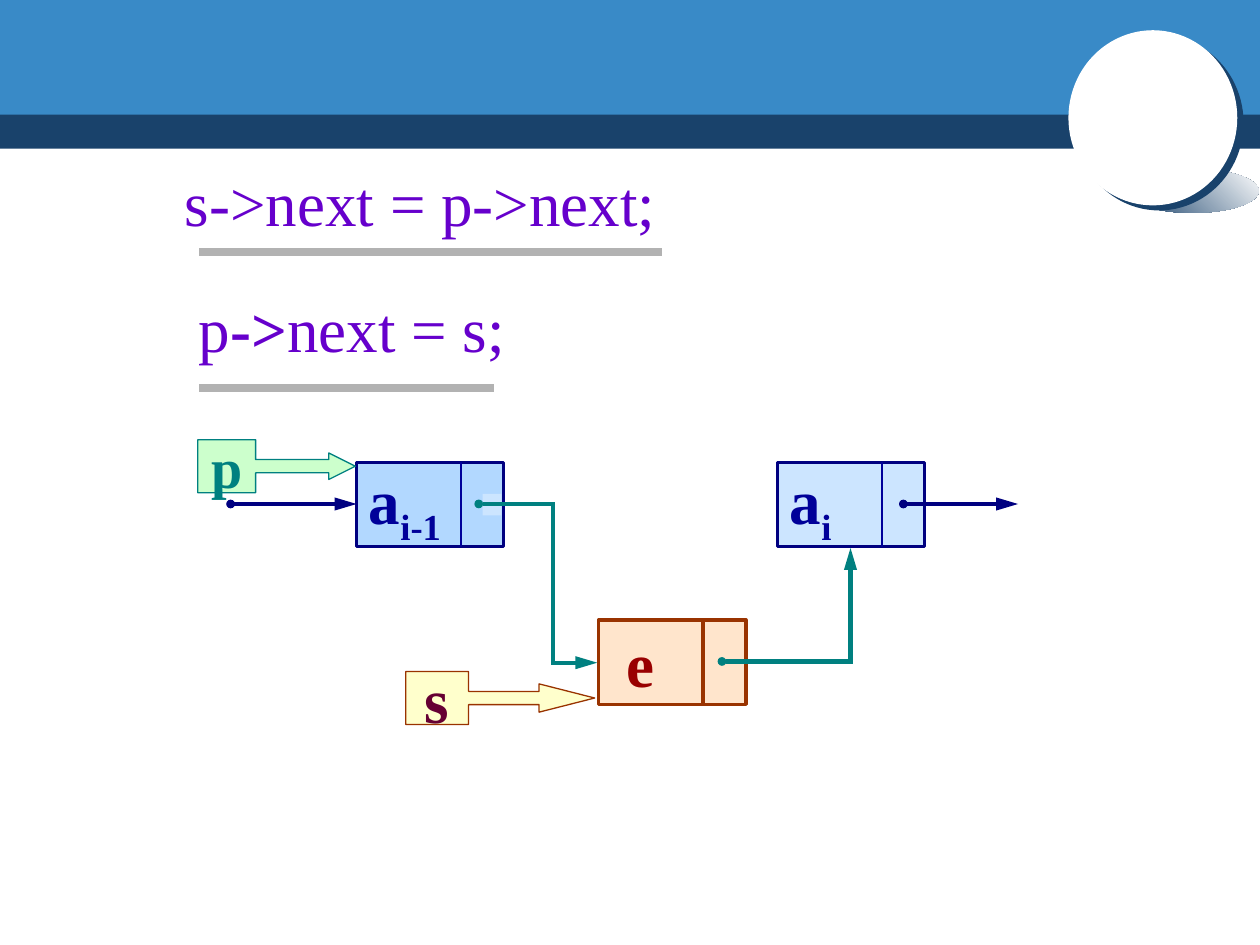
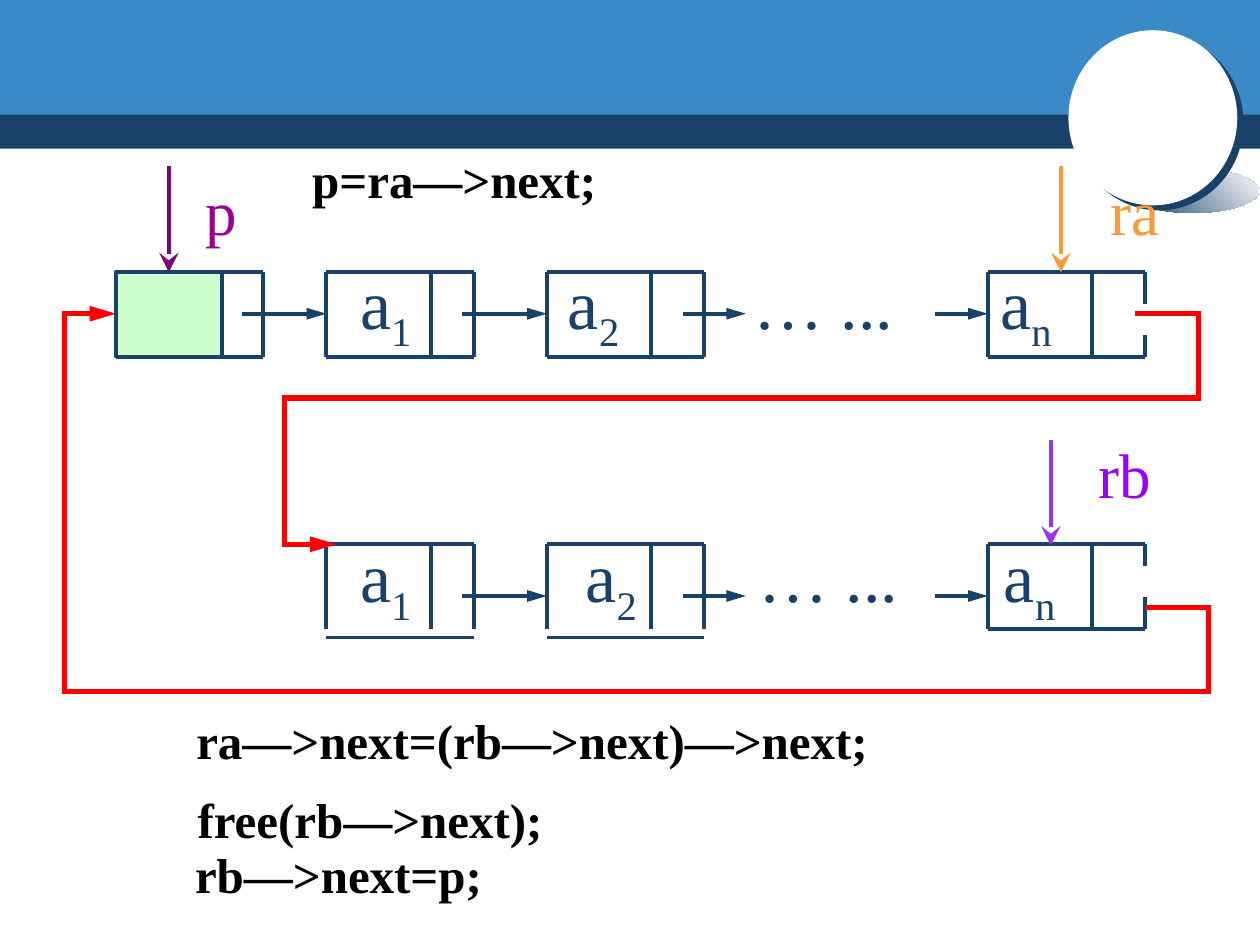
from lxml.etree import SubElement
from pptx import Presentation
from pptx.dml.color import RGBColor
from pptx.enum.shapes import MSO_CONNECTOR as CONN, MSO_SHAPE as SHP
from pptx.enum.text import MSO_ANCHOR as ANCHOR, PP_ALIGN as ALIGN
from pptx.oxml.ns import qn
from pptx.util import Inches, Pt

FONT = "Times New Roman"
NAVY, BLUE, WHITE, RED = "19426B", "398AC7", "FFFFFF", "FF0000"
TEAL, INK, PURPLE, BROWN = "008080", "000080", "6600CC", "993300"
# Width and length of each kind of line end
END_SIZE = {"oval": ("sm", "sm"), "triangle": ("med", "lg"), "stealth": ("lg", "lg")}
rgb = RGBColor.from_string


def box(s, x, y, w, h, text="", kind=None, fill=None, line=None, width=1,
        size=36, color="000000", bold=False, align=ALIGN.LEFT,
        anchor=ANCHOR.TOP, wrap=False, inset=0.1):
    """Shape or text box; text is a string or a list of (text, style) runs."""
    pos = [Inches(v) for v in (x, y, w, h)]
    if kind is None:
        sp = s.shapes.add_textbox(*pos)
    else:
        sp = s.shapes.add_shape(kind, *pos)
        sp.shadow.inherit = False
        if fill:
            sp.fill.solid()
            sp.fill.fore_color.rgb = rgb(fill)
        if line:
            sp.line.color.rgb = rgb(line)
            sp.line.width = Pt(width)
        else:
            sp.line.fill.background()
    tf = sp.text_frame
    tf.word_wrap = wrap
    tf.vertical_anchor = anchor
    tf.margin_left = Inches(inset)
    p = tf.paragraphs[0]
    p.alignment = align
    for part, style in [(text, "")] if isinstance(text, str) else text:
        if not part:
            continue
        r = p.add_run()
        r.text = part
        r.font.name, r.font.size = FONT, Pt(size)
        r.font.bold = bold or style == "bold"
        r.font.color.rgb = rgb(color)
        if style == "sub":
            r._r.get_or_add_rPr().set("baseline", "-25000")
    return sp


def link(s, points, color, width, head=None, tail=None):
    """Straight connector for two points, open outline for a bent path."""
    pts = [(Inches(x), Inches(y)) for x, y in points]
    if len(pts) == 2:
        sp = s.shapes.add_connector(CONN.STRAIGHT, *pts[0], *pts[1])
    else:
        fb = s.shapes.build_freeform(*pts[0])
        fb.add_line_segments(pts[1:], close=False)
        sp = fb.convert_to_shape()
        sp.fill.background()
    sp.line.color.rgb = rgb(color)
    sp.line.width = Pt(width)
    ln = sp.line._get_or_add_ln()
    SubElement(ln, qn("a:miter"), lim="800000")
    for tag, end in (("a:headEnd", head), ("a:tailEnd", tail)):
        if end:
            w, length = END_SIZE[end]
            SubElement(ln, qn(tag), type=end, w=w, len=length)
    SubElement(sp._element.spPr, qn("a:effectLst"))


prs = Presentation()
prs.slide_width, prs.slide_height = Inches(10), Inches(7.5)

# Shared header: two bands and a disc with its shadows
slides = [prs.slides.add_slide(prs.slide_layouts[6]) for _ in range(2)]
for s in slides:
    box(s, 0, 0.84, 10, 0.34, kind=SHP.RECTANGLE, fill=NAVY)
    box(s, 0, 0, 10, 0.91, kind=SHP.RECTANGLE, fill=BLUE)
    sp = box(s, 8.94, 1.34, 1.05, 0.35, kind=SHP.OVAL)
    sp.fill.gradient()
    sp.fill.gradient_angle = 45
    for stop, color in zip(sp.fill.gradient_stops, (NAVY, WHITE)):
        stop.color.rgb = rgb(color)
    box(s, 8.53, 0.28, 1.34, 1.39, kind=SHP.OVAL, fill=NAVY)
    box(s, 8.48, 0.24, 1.34, 1.39, kind=SHP.OVAL, fill=WHITE)

# Slide 1: inserting a node, code lines with rules below
s = slides[0]
box(s, 1.37, 1.25, 4.2, 0.7, "s->next = p->next;", color=PURPLE)
box(s, 1.48, 2.25, 4.2, 0.7,
    [("p", ""), ("->", "bold"), ("next = s;", "")], color=PURPLE)
for x, y in ((5.25, 2), (3.92, 3.08)):
    link(s, [(1.58, y), (x, y)], "B2B2B2", 4.5)

# List nodes with a divider before the pointer cell
nodes = [
    (4.75, 4.92, "e", "", "FFE5CC", BROWN, 2, "990000", BROWN, 2, 0.22),
    (2.83, 3.67, "a", "i-1", "B2D8FF", INK, 1.75, "000099", "000099", 0.75, 0.1),
    (6.17, 3.67, "a", "i", "CCE5FF", INK, 1.75, "000099", "000099", 0.75, 0.1),
]
for x, y, name, sub, fill, edge, ew, color, div, dw, inset in nodes:
    box(s, x, y, 1.17, 0.67, [(name, ""), (sub, "sub")], SHP.RECTANGLE, fill,
        edge, ew, color=color, bold=True, anchor=ANCHOR.MIDDLE, inset=inset)
    link(s, [(x + 0.83, y), (x + 0.83, y + 0.67)], div, dw)
box(s, 3.83, 3.92, 0.15, 0.17, kind=SHP.RECTANGLE, fill="CCE5FF")

# Pointers between nodes
for color, points in (
    (INK, [(1.83, 4), (2.83, 4)]),
    (INK, [(7.17, 4), (8.08, 4)]),
    (TEAL, [(3.8, 4), (4.39, 4), (4.39, 5.26), (4.74, 5.26)]),
    (TEAL, [(5.73, 5.25), (6.75, 5.25), (6.75, 4.35)]),
):
    link(s, points, color, 2.5, head="oval", tail="triangle")

# Variable callouts
for x, y, w, name, size, fill, edge, color, adj in (
    (3.22, 5.33, 1.5, "s", 36, "FFFFCC", BROWN, "660033", (0.25, 0.267, 1.05, 0.333)),
    (1.57, 3.49, 1.25, "p", 32, "CCFFCC", TEAL, TEAL, (0.25, 0.25, 0.5, 0.367)),
):
    sp = box(s, x, y, w, 0.42, name, SHP.RIGHT_ARROW_CALLOUT, fill, edge, 0.75,
             size=size, color=color, bold=True, align=ALIGN.CENTER,
             anchor=ANCHOR.MIDDLE)
    for i, v in enumerate(adj):
        sp.adjustments[i] = v

# Slide 2: joining two circular lists
s = slides[1]
box(s, 0.92, 2.16, 0.84, 0.67, kind=SHP.RECTANGLE, fill="CCFFCC", line=NAVY, width=2.25)

# Nodes as left, right and divider; the last one is open where its pointer leaves
TOP1, TOP2, SIDE = 2.16, 4.32, 0.67
cells = [(0.92, 2.09, 1.76), (2.59, 3.76, 3.42), (4.34, 5.59, 5.17), (7.84, 9.09, 8.67)]
for top, row, gap in ((TOP1, cells, 2.41), (TOP2, cells[1:], 4.49)):
    for left, right, div in row:
        low = top + SIDE
        is_last = left == 7.84
        dropped = top == TOP2 and not is_last
        base = 5.06 if dropped else low
        link(s, [(left, top), (right, top)], NAVY, 2.25)
        link(s, [(left, base), (right, base)], NAVY, 1.25 if dropped else 2.25)
        for x in (left, div):
            link(s, [(x, top), (x, low)], NAVY, 2.25)
        for y1, y2 in [(top, gap), (gap + 0.25, low)] if is_last else [(top, low)]:
            link(s, [(right, y1), (right, y2)], NAVY, 2.25)

# Links inside each row
hops = [(1.92, 2.59), (3.67, 4.34), (5.42, 5.92), (7.42, 7.84)]
for y, row in ((2.49, hops), (4.73, hops[1:])):
    for x1, x2 in row:
        link(s, [(x1, y), (x2, y)], NAVY, 2.25, tail="triangle")

# Node labels
for y, xs in ((2.01, (2.76, 4.41, 5.88, 7.84)), (4.18, (2.76, 4.55, 5.92, 7.87))):
    for x, name, sub in zip(xs, ("a", "a", "… ...", "a"), ("1", "2", "", "n")):
        box(s, x, y, 1.8, 0.75, [(name, ""), (sub, "sub")], size=40, color=NAVY,
            wrap=True)

# Red links that join the lists
for points in (
    [(9.01, 2.49), (9.51, 2.49), (9.51, 3.16), (2.26, 3.16), (2.26, 4.32), (2.67, 4.32)],
    [(9.09, 4.82), (9.59, 4.82), (9.59, 5.49), (0.51, 5.49), (0.51, 2.49), (0.92, 2.49)],
):
    link(s, points, RED, 3, tail="triangle")

# Named pointers from above, each label level with its arrow
for name, x, y, color, label_x, label_color in (
    ("p", 1.34, 1.32, "800080", 1.34, "990099"),
    ("ra", 8.42, 1.32, "FF9933", 8.59, "FF9933"),
    ("rb", 8.34, 3.49, "9933FF", 8.51, "9900FF"),
):
    link(s, [(x, y), (x, y + 0.84)], color, 2.25, tail="stealth")
    box(s, label_x, 3.41 if name == "rb" else y, 0.83, 0.7, name,
        color=label_color, align=ALIGN.CENTER, wrap=True)

# Code lines
for x, y, code in (
    (2.38, 1.14, "p=ra—>next;"),
    (1.46, 5.59, "ra—>next=(rb—>next)—>next;"),
    (1.47, 6.22, "free(rb—>next);"),
    (1.45, 6.65, "rb—>next=p;"),
):
    box(s, x, y, 6, 0.57, code, size=28, bold=True, wrap=True)

prs.save("out.pptx")
